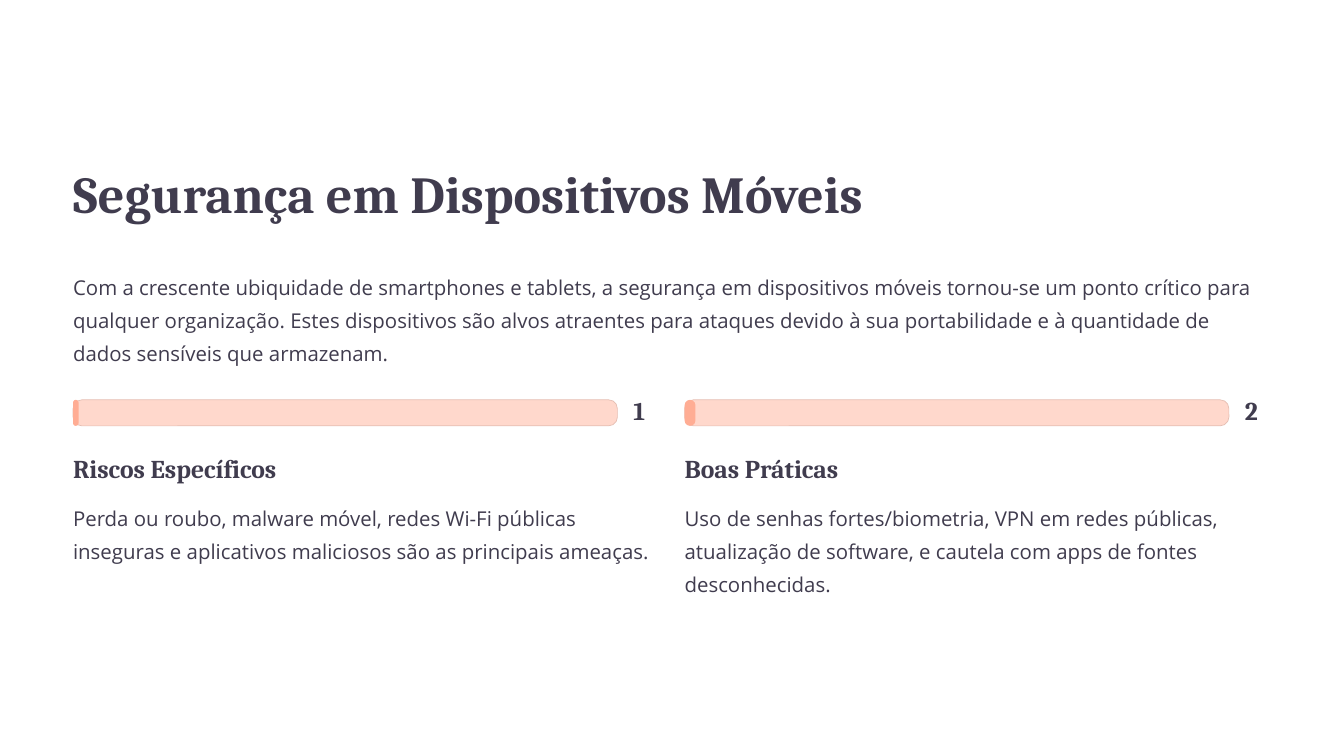
from dataclasses import dataclass
from pptx import Presentation
from pptx.dml.color import RGBColor
from pptx.enum.shapes import MSO_SHAPE
from pptx.enum.text import PP_ALIGN
from pptx.util import Inches, Pt


@dataclass(frozen=True)
class Style:
    font: str
    size: float
    line: float
    bold: bool = False
    wrap: bool = False


@dataclass(frozen=True)
class Theme:
    ink: str = "403C4E"
    track: str = "FFD8CC"
    edge: str = "E5BEB2"
    fill: str = "FFAD94"
    title: Style = Style("Cambria", 44.5, 55.5, bold=True)
    head: Style = Style("Cambria", 22, 27.5, bold=True)
    digit: Style = Style("Cambria", 22, 22, bold=True)
    body: Style = Style("Open Sans", 17.5, 28.5, wrap=True)


THEME = Theme()
WIDE, HIGH = 16, 9
MARGIN = 0.87
GAP = 0.3
BAR = 0.31
RADIUS = 0.104
TOPICS = [
    ("Riscos Específicos",
     "Perda ou roubo, malware móvel, redes Wi-Fi públicas inseguras e "
     "aplicativos maliciosos são as principais ameaças."),
    ("Boas Práticas",
     "Uso de senhas fortes/biometria, VPN em redes públicas, atualização de "
     "software, e cautela com apps de fontes desconhecidas."),
]


def write(slide, box, text, style):
    frame = slide.shapes.add_textbox(*map(Inches, box)).text_frame
    frame.margin_left = frame.margin_right = 0
    frame.margin_top = frame.margin_bottom = 0
    frame.word_wrap = style.wrap
    line = frame.paragraphs[0]
    line.text = text
    line.alignment = PP_ALIGN.LEFT
    line.line_spacing = Pt(style.line)
    line.font.name = style.font
    line.font.size = Pt(style.size)
    line.font.bold = style.bold
    line.font.color.rgb = RGBColor.from_string(THEME.ink)


def draw_bar(slide, box, color, edge=None):
    bar = slide.shapes.add_shape(MSO_SHAPE.ROUNDED_RECTANGLE, *map(Inches, box))
    bar.adjustments[0] = RADIUS / min(box[2:])
    bar.shadow.inherit = False
    bar.fill.solid()
    bar.fill.fore_color.rgb = RGBColor.from_string(color)
    if edge:
        bar.line.color.rgb = RGBColor.from_string(edge)
        bar.line.width = Pt(0.6)
    else:
        bar.line.fill.background()


def add_intro(slide, left, top, width):
    write(slide, (left, top, 10.62, 0.78), "Segurança em Dispositivos Móveis",
          THEME.title)
    write(slide, (left, top + 1.28, width, 1.19),
          "Com a crescente ubiquidade de smartphones e tablets, a segurança em "
          "dispositivos móveis tornou-se um ponto crítico para qualquer "
          "organização. Estes dispositivos são alvos atraentes para ataques "
          "devido à sua portabilidade e à quantidade de dados sensíveis que "
          "armazenam.", THEME.body)


def add_topic(slide, left, top, width, number, head, body):
    track = width - 0.5
    draw_bar(slide, (left, top, track, BAR), THEME.track, THEME.edge)
    draw_bar(slide, (left, top, track * number / 100, BAR), THEME.fill)
    write(slide, (left + width - BAR, top, BAR, BAR), str(number), THEME.digit)
    write(slide, (left, top + 0.62, 3.1, 0.39), head, THEME.head)
    write(slide, (left, top + 1.16, width, 1.19), body, THEME.body)


def main():
    deck = Presentation()
    deck.slide_width, deck.slide_height = Inches(WIDE), Inches(HIGH)
    slide = deck.slides.add_slide(deck.slide_layouts[6])
    span = WIDE - 2 * MARGIN
    add_intro(slide, MARGIN, 1.89, span)
    column = (span - GAP) / len(TOPICS)
    for index, (head, body) in enumerate(TOPICS):
        left = MARGIN + index * (column + GAP)
        add_topic(slide, left, 4.76, column, index + 1, head, body)
    deck.save("out.pptx")


if __name__ == "__main__":
    main()
